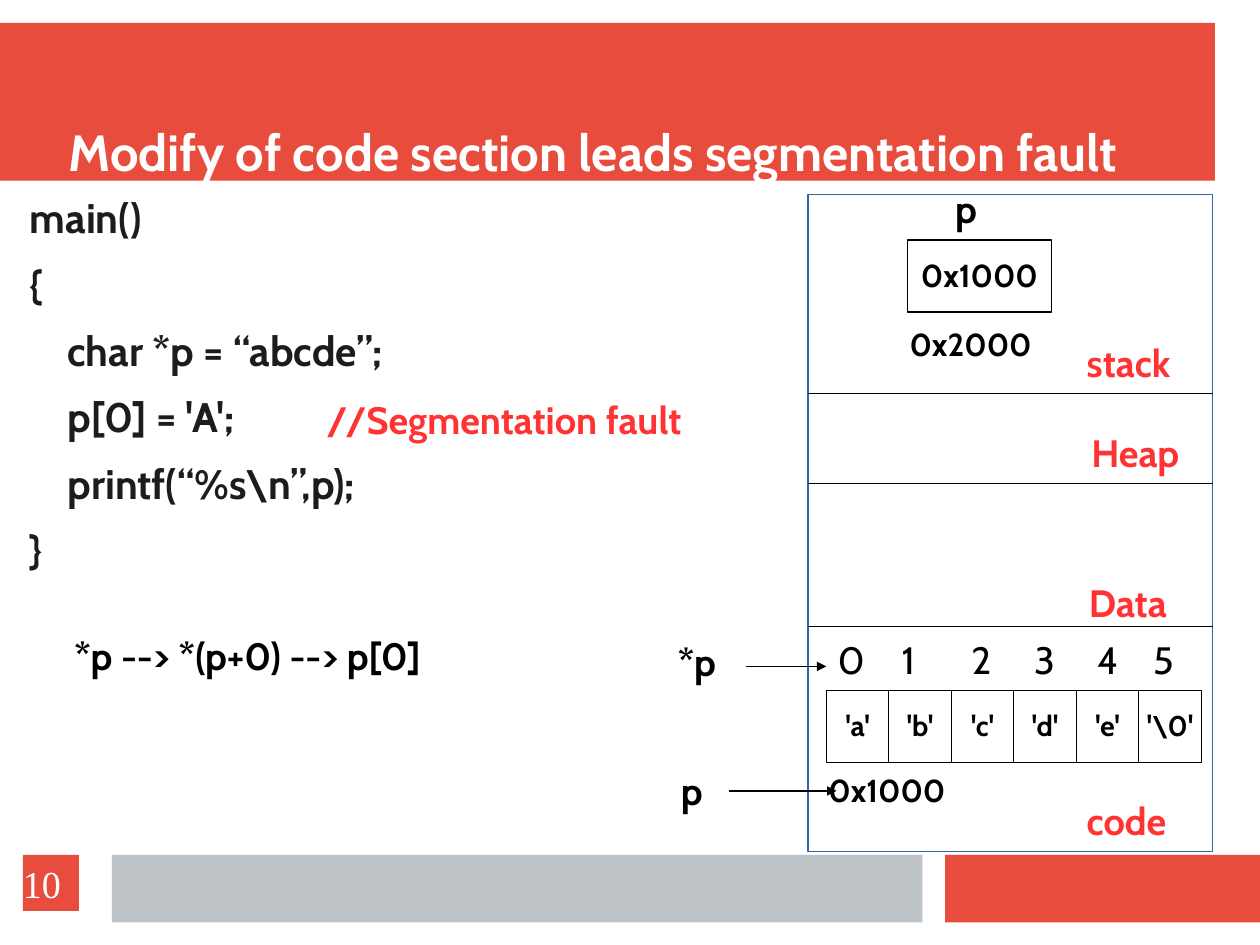
from lxml import etree
from pptx import Presentation
from pptx.dml.color import RGBColor
from pptx.enum import shapes, text
from pptx.oxml.ns import qn
from pptx.util import Inches, Pt

RED = RGBColor(0xE7, 0x4C, 0x3C)
GREY = RGBColor(0xBD, 0xC3, 0xC7)
WHITE = RGBColor(0xFF, 0xFF, 0xFF)
BLACK = RGBColor(0, 0, 0)
INK = RGBColor(0x1C, 0x1C, 0x1C)
LABEL_RED = RGBColor(0xFF, 0x33, 0x33)
BLUE = RGBColor(0x34, 0x65, 0xA4)
FONT = "Cabin"


def add_run(p, words, size, color, bold=True, font=FONT):
    r = p.add_run()
    r.text = words
    r.font.size = Pt(size)
    r.font.name = font
    r.font.bold = bold
    r.font.color.rgb = color


def set_margins(tf, left=0, top=0, right=0, bottom=0):
    tf.margin_left, tf.margin_top = Inches(left), Inches(top)
    tf.margin_right, tf.margin_bottom = Inches(right), Inches(bottom)


def place(sp, x, y, w, h):
    sp.left, sp.top = Inches(x), Inches(y)
    sp.width, sp.height = Inches(w), Inches(h)


def add_rect(s, x, y, w, h, fill, line=None):
    sp = s.shapes.add_shape(shapes.MSO_SHAPE.RECTANGLE,
                            Inches(x), Inches(y), Inches(w), Inches(h))
    sp.shadow.inherit = False
    sp.fill.solid()
    sp.fill.fore_color.rgb = fill
    if line is None:
        sp.line.fill.background()
    else:
        sp.line.color.rgb = line
        sp.line.width = Pt(0.75)
    return sp


def fill_text(sp, words, size, color, align, font=FONT, bold=True, spacing=None):
    tf = sp.text_frame
    tf.word_wrap = True
    tf.vertical_anchor = text.MSO_ANCHOR.MIDDLE
    set_margins(tf)
    p = tf.paragraphs[0]
    p.alignment = align
    p.line_spacing = spacing
    add_run(p, words, size, color, bold, font)


def add_cell(s, x, y, w, h, words, size):
    sp = add_rect(s, x, y, w, h, WHITE, BLACK)
    fill_text(sp, words, size, BLACK, text.PP_ALIGN.CENTER, spacing=0.97)


def add_label(s, x, y, w, words, size=24, color=BLACK, bold=True):
    tb = s.shapes.add_textbox(Inches(x), Inches(y), Inches(w), Inches(0.5))
    tf = tb.text_frame
    tf.word_wrap = True
    set_margins(tf, 0.1, 0.05, 0.1, 0.05)
    p = tf.paragraphs[0]
    p.line_spacing = 0.97
    add_run(p, words, size, color, bold)


def add_line(s, x1, x2, y, arrow=False):
    c = s.shapes.add_connector(shapes.MSO_CONNECTOR.STRAIGHT,
                               Inches(x1), Inches(y), Inches(x2), Inches(y))
    c.line.color.rgb = BLACK
    c.line.width = Pt(0.75)
    spPr = c.element.spPr
    if arrow:
        etree.SubElement(spPr.find(qn("a:ln")), qn("a:tailEnd"), type="triangle")
    etree.SubElement(spPr, qn("a:effectLst"))


def draw_bands(s):
    add_rect(s, 0, 0.2, 10.63, 1.38, RED)
    add_rect(s, 8.27, 7.48, 2.76, 0.59, RED)
    add_rect(s, 0.98, 7.48, 7.09, 0.59, GREY)


def bring_to_front(sp):
    sp.element.getparent().append(sp.element)


def write_title(s, x, y, w, h):
    sp = s.shapes.title
    bring_to_front(sp)
    place(sp, x, y, w, h)
    tf = sp.text_frame
    tf.word_wrap = True
    tf.auto_size = text.MSO_AUTO_SIZE.NONE
    tf.vertical_anchor = text.MSO_ANCHOR.BOTTOM
    set_margins(tf)
    p = tf.paragraphs[0]
    p.alignment = text.PP_ALIGN.LEFT
    p.line_spacing = 0.97
    add_run(p, "Modify of code section leads segmentation fault", 32, WHITE)


def write_code(s, x, y, w, h):
    sp = s.placeholders[1]
    bring_to_front(sp)
    place(sp, x, y, w, h)
    tf = sp.text_frame
    tf.word_wrap = True
    tf.auto_size = text.MSO_AUTO_SIZE.NONE
    tf.vertical_anchor = text.MSO_ANCHOR.TOP
    set_margins(tf, top=0.01)
    lines = [(0.14, "main()"), (0.14, "{"), (0.47, "char *p = “abcde”;"),
             (0.47, "p[0] = 'A';"), (0.47, "printf(“%s\\n”,p);"), (0.14, "}")]
    for i, (indent, words) in enumerate(lines):
        p = tf.paragraphs[0] if i == 0 else tf.add_paragraph()
        pPr = p._p.get_or_add_pPr()
        pPr.set("marL", str(Inches(indent)))
        pPr.set("indent", "0")
        etree.SubElement(pPr, qn("a:buNone"))
        p.line_spacing = 0.97
        p.space_before = Pt(0)
        p.space_after = Pt(11.5)
        add_run(p, words, 26, INK)
    # Remarks on the code
    add_label(s, x + 2.64, y + 1.74, 4.08, "//Segmentation fault", color=LABEL_RED)
    add_label(s, x + 0.43, y + 3.81, 4.19, "*p --> *(p+0) --> p[0]")


def draw_memory(s, x, y, w, h):
    add_rect(s, x, y, w, h, WHITE, BLUE)

    # Segment borders and names
    for dy in (1.74, 2.53, 3.78):
        add_line(s, x, x + w, y + dy)
    for dx, dy, name in ((2.34, 1.24, "stack"), (2.38, 2.03, "Heap"),
                         (2.36, 3.34, "Data"), (2.34, 5.25, "code")):
        add_label(s, x + dx, y + dy, 1.2, name, color=LABEL_RED)

    # Pointer on the stack
    add_label(s, x + 1.19, y - 0.1, 0.44, "p")
    add_cell(s, x + 0.87, y + 0.4, 1.26, 0.63, "0x1000", 20)
    add_label(s, x + 0.79, y + 1.11, 1.34, "0x2000", 20)

    # String in the code segment
    left, cell_w = x + 0.16, 3.28 / 6
    for i, char in enumerate(("'a'", "'b'", "'c'", "'d'", "'e'", "'\\0'")):
        add_cell(s, left + i * cell_w, y + 4.34, cell_w, 0.63, char, 18)
    for i, dx in enumerate((0, 0.56, 1.17, 1.72, 2.27, 2.76)):
        add_label(s, left + dx, y + 3.84, 0.41, str(i), bold=False)
    add_label(s, x + 0.08, y + 5.01, 1.34, "0x1000", 20)

    # Arrows pointing into the string
    add_label(s, x - 1.24, y + 3.86, 0.61, "*p")
    add_line(s, x - 0.54, left, y + 4.13, arrow=True)
    add_label(s, x - 1.21, y + 4.99, 0.44, "p")
    add_line(s, x - 0.69, x + 0.25, y + 5.22, arrow=True)


def draw_page_number(s, x, y, side):
    sp = add_rect(s, x, y, side, side, RED)
    fill_text(sp, "10", 24, WHITE, text.PP_ALIGN.LEFT, "Times New Roman", False)


def main():
    prs = Presentation()
    # 28 by 21 cm page, a whole number of quarter points
    prs.slide_width, prs.slide_height = Pt(793.75), Pt(595.25)
    s = prs.slides.add_slide(prs.slide_layouts[1])
    draw_bands(s)
    write_title(s, 0.6, 0.57, 10.38, 1.03)
    write_code(s, 0.12, 1.7, 4.88, 5.67)
    draw_memory(s, 7.07, 1.7, 3.54, 5.75)
    draw_page_number(s, 0.2, 7.48, 0.49)
    prs.save("out.pptx")


if __name__ == "__main__":
    main()
